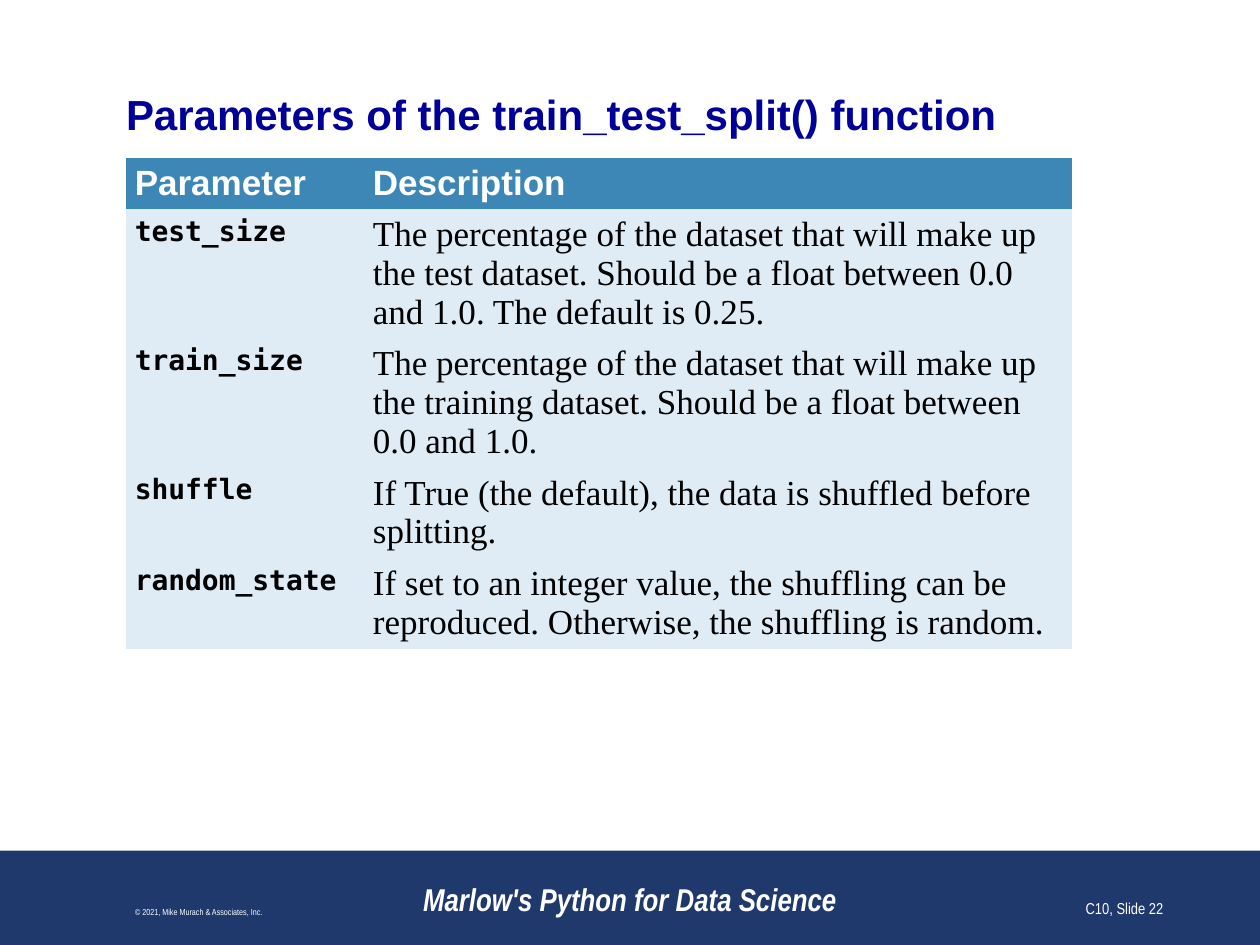
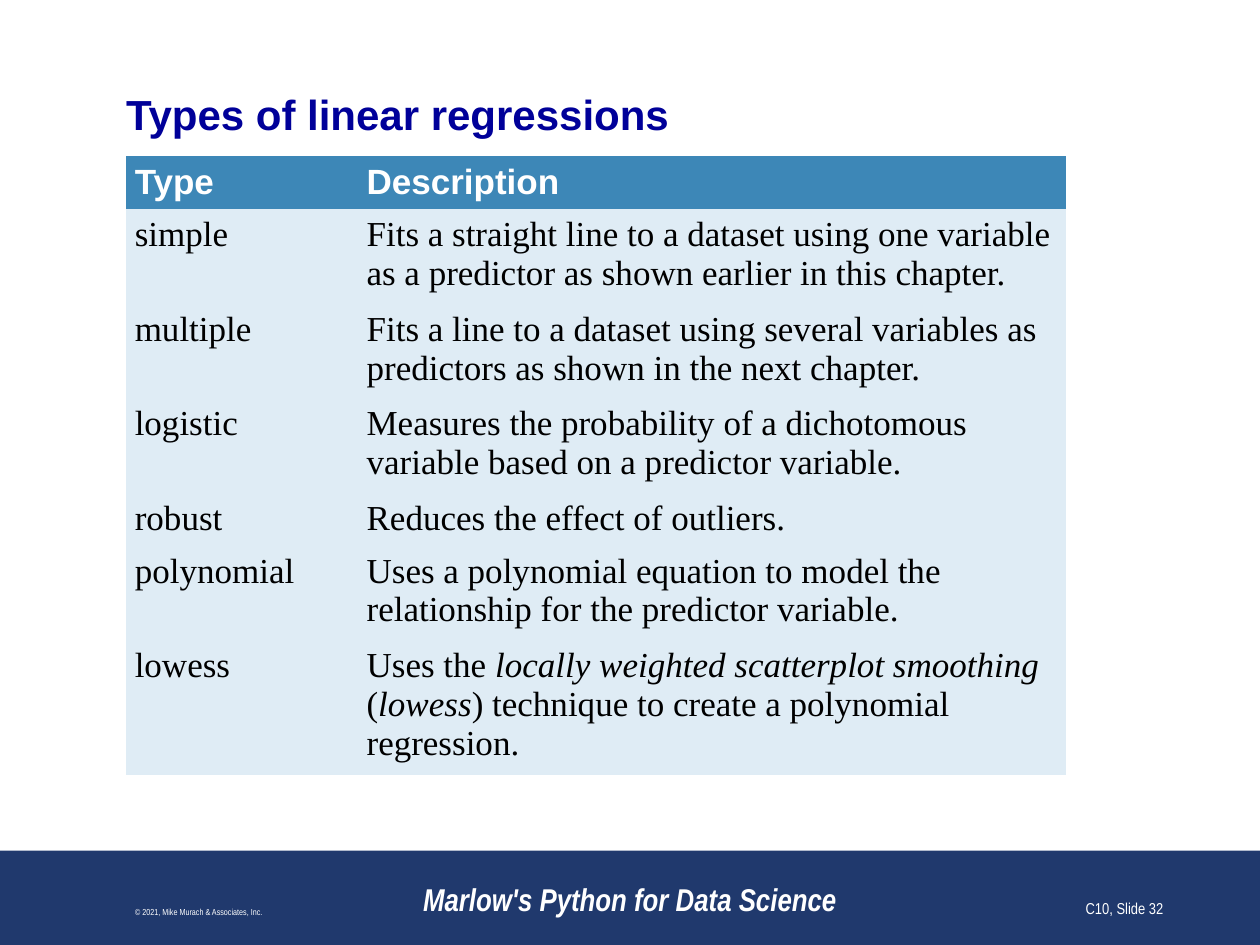
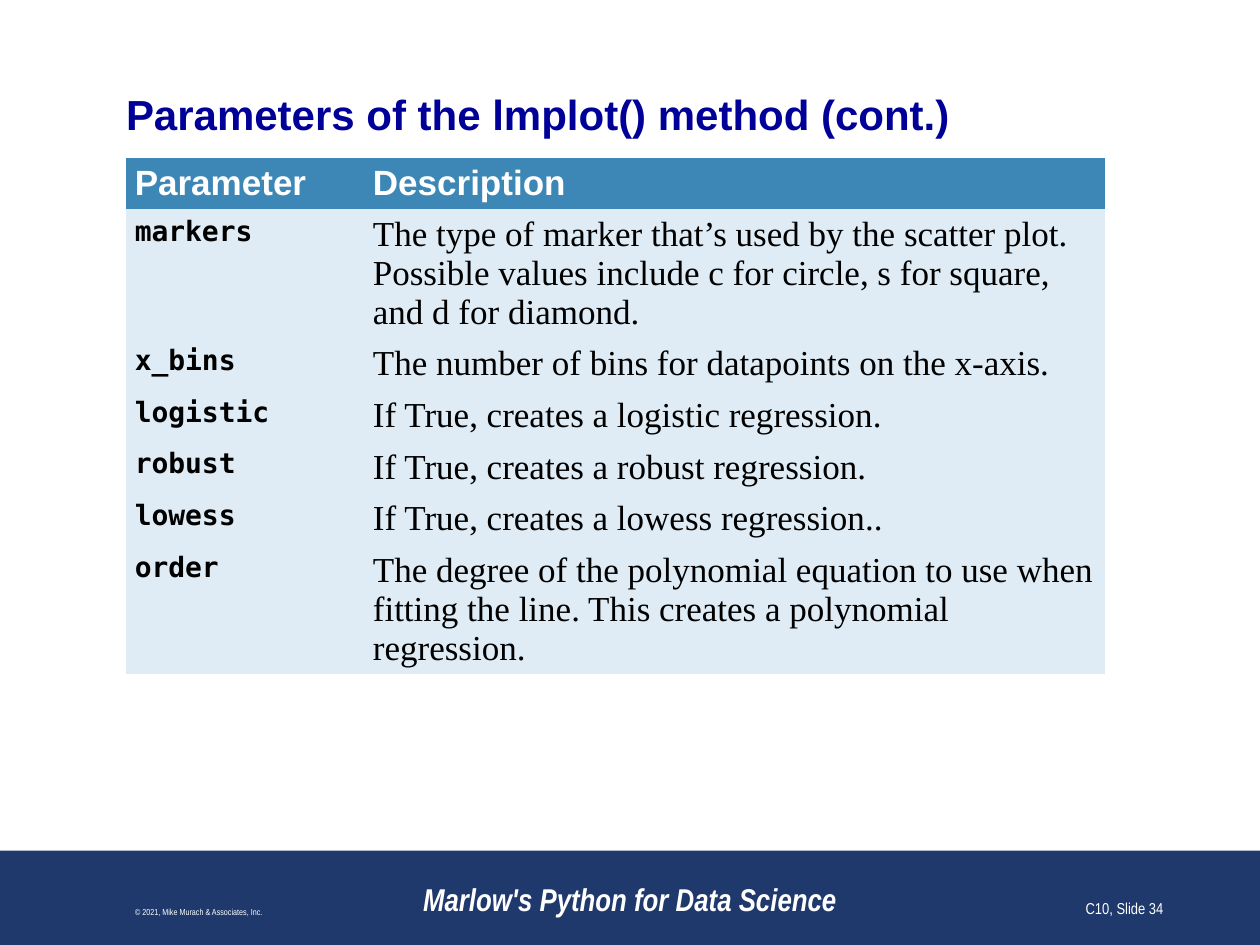
"""Build three reference-table slides for a data science course."""
from pptx import Presentation
from pptx.dml.color import RGBColor
from pptx.enum.shapes import MSO_SHAPE as Preset
from pptx.enum.text import MSO_ANCHOR as Anchor, MSO_AUTO_SIZE as AutoSize, PP_ALIGN as Align
from pptx.oxml.ns import qn
from pptx.util import Inches, Pt

COLORS = {
    "band": "20396D",
    "title": "000099",
    "header": "3D87B7",
    "body": "DFECF5",
    "white": "FFFFFF",
    "black": "000000",
}
HEADER = {"size": 20, "font": "Arial", "color": "white", "bold": True}
CODE = {"size": 16, "font": "DejaVu Sans Mono", "bold": True}
PROSE = {"size": 20, "font": "Times New Roman"}
FOOTER = {"font": "Arial Narrow", "color": "white"}
NO_STYLE_NO_GRID = "{2D5ABB26-0587-4C30-8999-92F81FD0307C}"
TIGHT = {1: 0.41, 2: 0.72, 3: 1.02}
ROOMY = {1: 0.42, 2: 0.75, 3: 1.07}

SPLIT_ROWS = [
    ("test_size", "The percentage of the dataset that will make up the test dataset. "
     "Should be a float between 0.0 and 1.0. The default is 0.25.", 3),
    ("train_size", "The percentage of the dataset that will make up the training dataset. "
     "Should be a float between 0.0 and 1.0.", 3),
    ("shuffle", "If True (the default), the data is shuffled before splitting.", 2),
    ("random_state", "If set to an integer value, the shuffling can be reproduced. "
     "Otherwise, the shuffling is random.", 2),
]
REGRESSION_ROWS = [
    ("simple", "Fits a straight line to a dataset using one variable as a predictor "
     "as shown earlier in this chapter.", 2),
    ("multiple", "Fits a line to a dataset using several variables as predictors "
     "as shown in the next chapter.", 2),
    ("logistic", "Measures the probability of a dichotomous variable based on a "
     "predictor variable.", 2),
    ("robust", "Reduces the effect of outliers.", 1),
    ("polynomial", "Uses a polynomial equation to model the relationship for the "
     "predictor variable.", 2),
    ("lowess", "Uses the *locally weighted scatterplot smoothing* (*lowess*) technique "
     "to create a polynomial regression.", 3),
]
LMPLOT_ROWS = [
    ("markers", "The type of marker that’s used by the scatter plot. Possible values "
     "include c for circle, s for square, and d for diamond.", 3),
    ("x_bins", "The number of bins for datapoints on the x-axis.", 1),
    ("logistic", "If True, creates a logistic regression.", 1),
    ("robust", "If True, creates a robust regression.", 1),
    ("lowess", "If True, creates a lowess regression..", 1),
    ("order", "The degree of the polynomial equation to use when fitting the line. "
     "This creates a polynomial regression.", 3),
]


def rgb(name):
    """Return the named palette colour."""
    return RGBColor.from_string(COLORS[name])


def write(frame, text, size, font, color="black", bold=False, italic=False, align=Align.LEFT):
    """Write one paragraph; asterisks enclose italic words."""
    paragraph = frame.paragraphs[0]
    paragraph.alignment = align
    for index, words in enumerate(text.split("*")):
        run = paragraph.add_run()
        run.text = words
        run.font.size = Pt(size)
        run.font.name = font
        run.font.color.rgb = rgb(color)
        run.font.bold = bold
        run.font.italic = italic or index % 2 == 1


def add_band(slide):
    """Draw the dark band along the bottom edge."""
    band = slide.shapes.add_shape(Preset.RECTANGLE, 0, Inches(6.75), Inches(10), Inches(0.75))
    band.shadow.inherit = False
    band.fill.solid()
    band.fill.fore_color.rgb = rgb("band")
    band.line.fill.background()


def add_title(slide, text):
    """Place and fill the title placeholder."""
    title = slide.shapes.title
    title.left, title.top = Inches(1), Inches(0.7)
    title.width, title.height = Inches(8), Inches(0.4)
    frame = title.text_frame
    frame.margin_left = frame.margin_right = frame.margin_top = frame.margin_bottom = 0
    frame.vertical_anchor = Anchor.MIDDLE
    frame.auto_size = AutoSize.NONE
    write(frame, text, 24, "Arial", "title", bold=True)


def add_footer(slide, left, width, text, **style):
    """Add one footer text on the band."""
    box = slide.shapes.add_textbox(Inches(left), Inches(6.83), Inches(width), Inches(0.5))
    box.text_frame.word_wrap = True
    box.text_frame.vertical_anchor = Anchor.BOTTOM
    write(box.text_frame, text, **FOOTER, **style)


def fill_cell(cell, text, fill, style):
    """Fill one table cell with colour and text."""
    cell.fill.solid()
    cell.fill.fore_color.rgb = rgb(fill)
    cell.margin_left = cell.margin_right = Inches(0.07)
    cell.margin_top = cell.margin_bottom = Inches(0.05)
    write(cell.text_frame, text, **style)


def add_reference_table(slide, term, rows, widths, top, heights, term_style):
    """Add a table of terms and descriptions, with row heights by line count."""
    entries = [(term, "Description", 1), *rows]
    total = sum(heights[lines] for *_, lines in entries)
    holder = slide.shapes.add_table(
        len(entries), 2, Inches(1), Inches(top), Inches(sum(widths)), Inches(total))
    next(holder.element.iter(qn("a:tableStyleId"))).text = NO_STYLE_NO_GRID
    table = holder.table
    table.horz_banding = False
    for column, width in zip(table.columns, widths):
        column.width = Inches(width)
    for index, (name, description, lines) in enumerate(entries):
        table.rows[index].height = Inches(heights[lines])
        fill = "body" if index else "header"
        styles = (term_style, PROSE) if index else (HEADER, HEADER)
        for column, text in enumerate((name, description)):
            fill_cell(table.cell(index, column), text, fill, styles[column])


def add_reference_slide(deck, number, title, **table):
    """Add a slide with title, table, band and footers."""
    slide = deck.slides.add_slide(deck.slide_layouts[5])
    add_band(slide)
    add_title(slide, title)
    add_reference_table(slide, **table)
    add_footer(slide, 3, 4, "Marlow's Python for Data Science",
               size=18, bold=True, italic=True, align=Align.CENTER)
    add_footer(slide, 0.08, 3, "© 2021, Mike Murach & Associates, Inc.",
               size=5, align=Align.CENTER)
    add_footer(slide, 7.25, 2.08, f"C10, Slide {number}", size=9, align=Align.RIGHT)


def main():
    """Build and save the deck."""
    deck = Presentation()
    deck.slide_width, deck.slide_height = Inches(10), Inches(7.5)
    add_reference_slide(
        deck, 22, "Parameters of the train_test_split() function", term="Parameter",
        rows=SPLIT_ROWS, widths=(1.89, 5.62), top=1.25, heights=TIGHT, term_style=CODE)
    add_reference_slide(
        deck, 32, "Types of linear regressions", term="Type",
        rows=REGRESSION_ROWS, widths=(1.84, 5.62), top=1.24, heights=ROOMY, term_style=PROSE)
    add_reference_slide(
        deck, 34, "Parameters of the lmplot() method (cont.)", term="Parameter",
        rows=LMPLOT_ROWS, widths=(1.89, 5.88), top=1.25, heights=TIGHT, term_style=CODE)
    deck.save("out.pptx")


if __name__ == "__main__":
    main()
